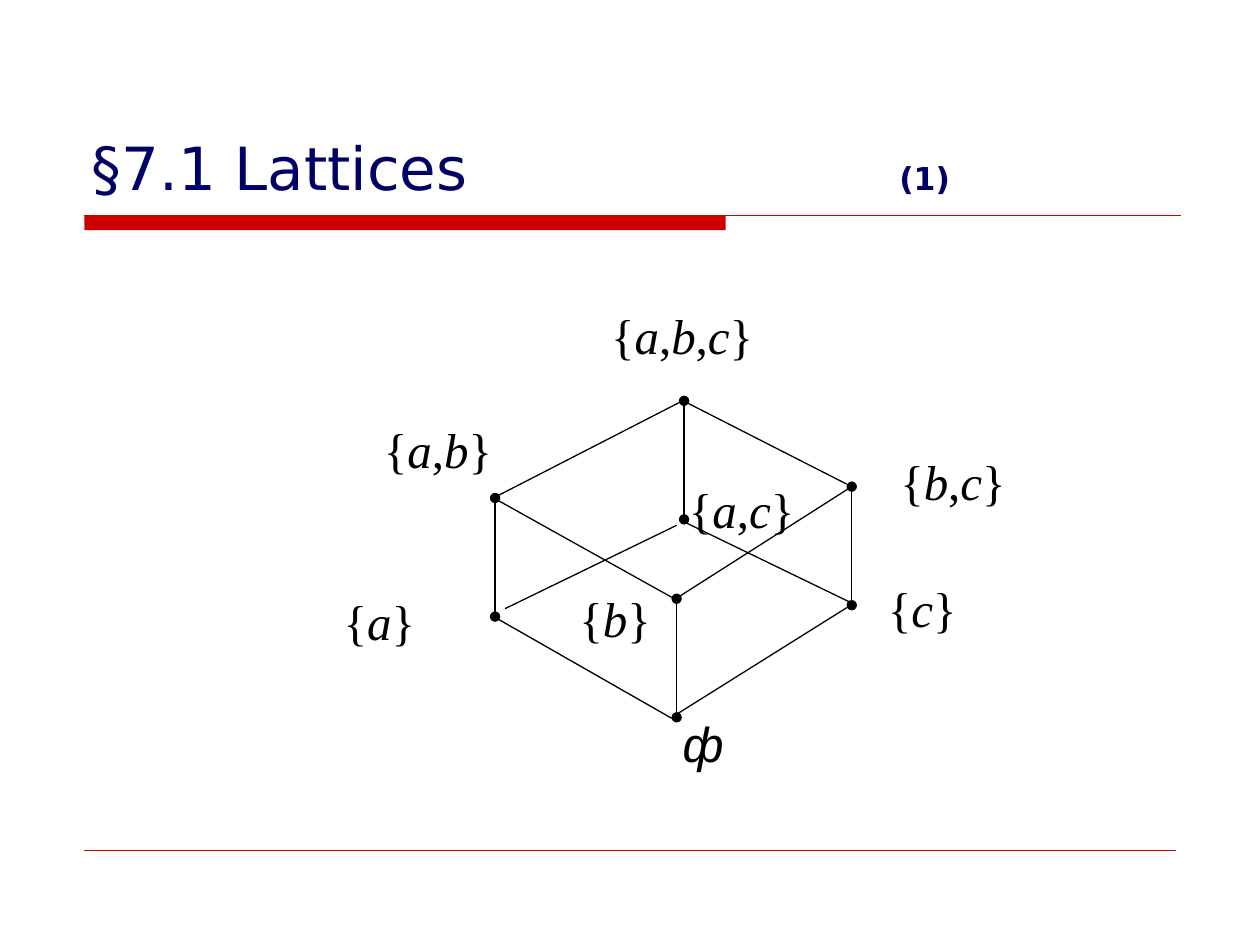
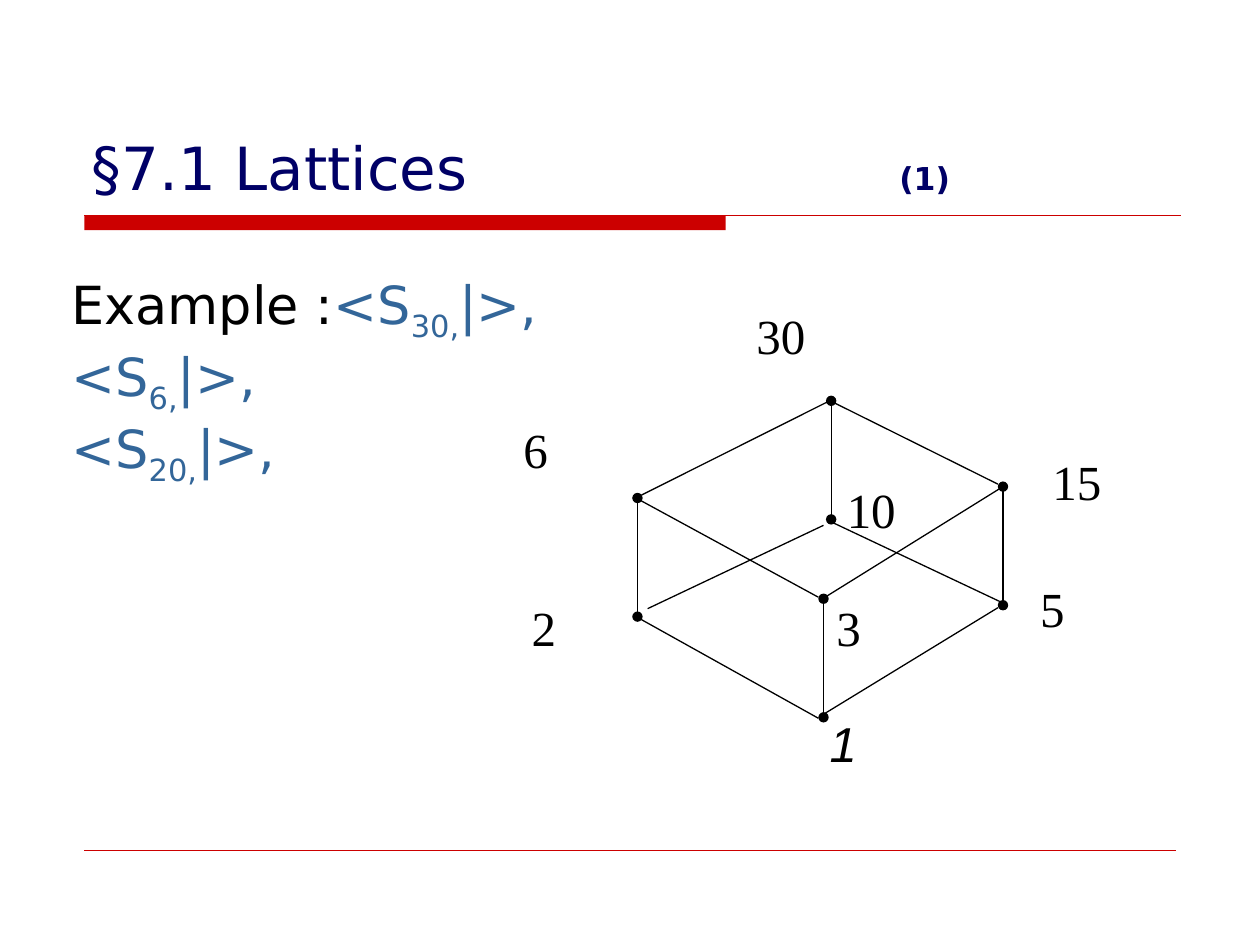
from itertools import groupby

from lxml.etree import SubElement as Sub
from pptx import Presentation
from pptx.dml.color import RGBColor
from pptx.enum.shapes import MSO_CONNECTOR as Conn, MSO_SHAPE as Shape
from pptx.enum.text import MSO_ANCHOR as Anchor
from pptx.oxml.ns import qn
from pptx.util import Cm, Pt

RED, NAVY, BLUE, BLACK = "CC0000", "000066", "336699", "000000"
SANS, SERIF, ARIAL = "DejaVu Sans", "Times New Roman", "Arial"

# Cube drawing, in cm from its left post and its top node
POST = 2.39
POSTS = [(3.81, 0), (0, 1.96), (7.19, 1.73), (3.66, 3.99)]
EDGES = [
    (3.61, 4.01, 7.11, 1.78), (3.81, 2.44, 7.26, 4.11),
    (3.89, 0.05, 7.09, 1.68), (0.08, 1.9, 3.78, 0),
    (-0.08, 1.93, 3.56, 3.96), (0.2, 4.19, 3.66, 2.51),
    (3.61, 6.35, 7.09, 4.17), (-0.08, 4.32, 3.56, 6.4),
]
# Label boxes: left, top, width, height, side inset, top inset
SPOTS = {
    "top": (2.34, -1.93, 4.01, 1.32, 0, 0),
    "left": (-2.24, 0.25, 2.97, 1.37, 0, 0.13),
    "right": (7.92, 0.89, 3.12, 0.94, 0.25, 0.13),
    "back": (3.91, 1.45, 2.59, 0.81, 0, 0.13),
    "low left": (-3.05, 3.71, 1.6, 0.91, 0, 0.13),
    "front": (1.7, 3.66, 1.98, 0.76, 0, 0.13),
    "low right": (7.92, 3.45, 2.34, 1.8, 0, 0.13),
    "base": (3.78, 6.17, 1.88, 1.6, 0, 0.13),
}


def color(code):
    return RGBColor.from_string(code)


def add_line(slide, x1, y1, x2, y2, code=BLACK, width=0.75, dots=False):
    line = slide.shapes.add_connector(
        Conn.STRAIGHT, Cm(x1), Cm(y1), Cm(x2), Cm(y2))
    line.line.color.rgb = color(code)
    line.line.width = Pt(width)
    if dots:
        pen = line.line._get_or_add_ln()
        for end in ("a:headEnd", "a:tailEnd"):
            Sub(pen, qn(end), type="oval")
    Sub(line._element.spPr, qn("a:effectLst"))


def add_box(slide, x, y, w, h, side=0.25, edge=0.13):
    box = slide.shapes.add_textbox(Cm(x), Cm(y), Cm(w), Cm(h))
    frame = box.text_frame
    frame.word_wrap = True
    frame.margin_left = frame.margin_right = Cm(side)
    frame.margin_top = frame.margin_bottom = Cm(edge)
    return frame


def set_font(font, name, size, code):
    font.name, font.size = name, Pt(size)
    font.color.rgb = color(code)


def add_run(para, text):
    run = para.add_run()
    run.text = text
    return run.font


def add_frame(slide, title, part):
    """Title, red band and foot line."""
    band = slide.shapes.add_shape(
        Shape.RECTANGLE, Cm(1.7), Cm(4.34), Cm(12.93), Cm(0.3))
    band.shadow.inherit = False
    band.fill.solid()
    band.fill.fore_color.rgb = color(RED)
    band.line.fill.background()
    add_line(slide, 1.7, 4.34, 23.8, 4.34, RED)
    add_line(slide, 1.7, 17.15, 23.7, 17.15, RED, 0.25)

    frame = add_box(slide, 1.6, 0.84, 22.23, 3.38)
    frame.vertical_anchor = Anchor.BOTTOM
    para = frame.paragraphs[0]
    tabs = Sub(para._p.get_or_add_pPr(), qn("a:tabLst"))
    Sub(tabs, qn("a:tab"), pos=str(Cm(16.28)), algn="l")
    set_font(para.font, SANS, 34, NAVY)
    add_run(para, title + "\t")
    mark = add_run(para, part)
    mark.size, mark.bold = Pt(18), True


def add_cube(slide, x, y, names, scale=1, moved=None):
    """Hasse diagram; moved holds new corners for single labels."""
    for x1, y1, x2, y2 in EDGES:
        add_line(slide, x + x1 * scale, y + y1, x + x2 * scale, y + y2)
    for px, py in POSTS:
        px = x + px * scale
        add_line(slide, px, y + py + POST, px, y + py, dots=True)
    for (spot, place), name in zip(SPOTS.items(), names):
        left, top, w, h, side, edge = place
        left, top = (moved or {}).get(spot, (left * scale, top))
        frame = add_box(slide, x + left, y + top, w * scale, h, side, edge)
        para = frame.paragraphs[0]
        base = spot == "base"
        set_font(para.font, ARIAL if base else SERIF, 28, BLACK)
        for letter, part in groupby(name, str.isalpha):
            add_run(para, "".join(part)).italic = base or letter


def add_example(slide, x, y, lead, rows):
    frame = add_box(slide, x, y, 12.5, 5.69)
    for i, row in enumerate(rows):
        para = frame.add_paragraph() if i else frame.paragraphs[0]
        set_font(para.font, SANS, 30, BLUE)
        if i == 0:
            add_run(para, lead).color.rgb = color(BLACK)
        for j, index in enumerate(row):
            add_run(para, " <S" if j else "<S")
            add_run(para, f"{index},")._element.set("baseline", "-25000")
            add_run(para, "|>,")


def main():
    deck = Presentation()
    deck.slide_width, deck.slide_height = Cm(25.4), Cm(19.05)
    sets, ints = (deck.slides.add_slide(deck.slide_layouts[6])
                  for _ in range(2))
    for slide in (sets, ints):
        add_frame(slide, "§7.1 Lattices", "(1)")

    add_cube(sets, 9.98, 8.08, ["{a,b,c}", "{a,b}", "{b,c}", "{a,c}",
                                "{a}", "{b}", "{c}", "ф"])
    add_cube(ints, 12.85, 8.08, ["30", "6", "15", "10", "2", "3", "5", "1"],
             1.025, {"back": (4.22, 1.45), "low left": (-2.13, 3.84),
                     "front": (4.01, 3.84)})
    add_example(ints, 1.19, 5.36, "Example :", [(30, 6), (20,)])
    deck.save("out.pptx")


if __name__ == "__main__":
    main()
